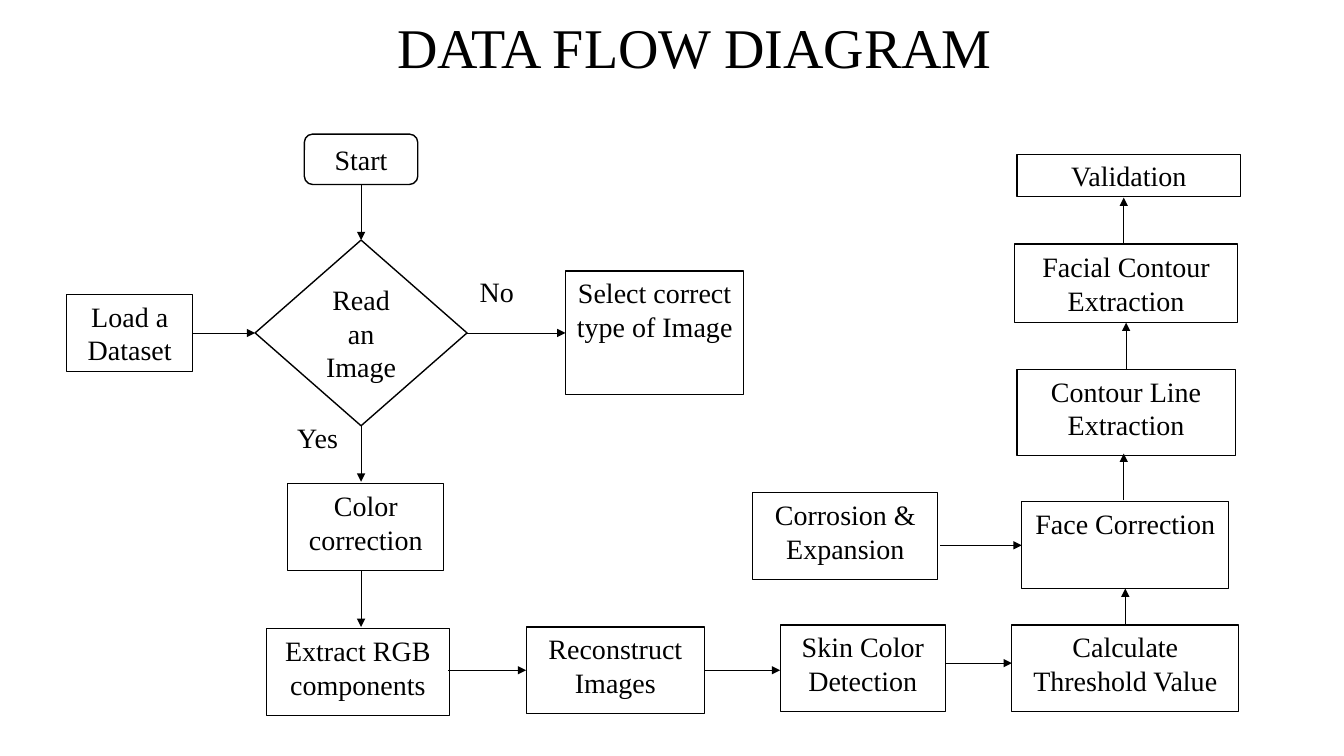
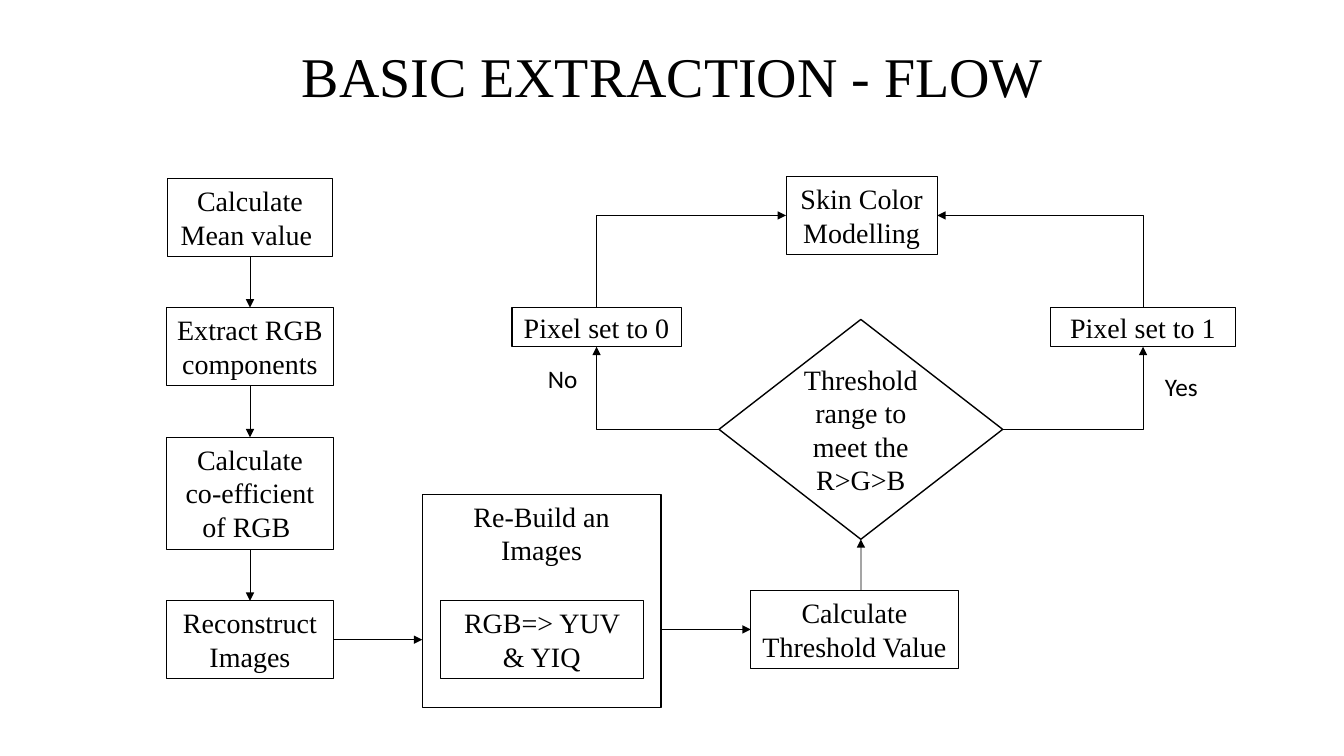
from dataclasses import dataclass
from enum import IntEnum

from lxml import etree
from pptx import Presentation
from pptx import util as u
from pptx.dml.color import RGBColor
from pptx.enum import shapes, text
from pptx.oxml.ns import qn
from pptx.util import Cm


@dataclass(frozen=True)
class Theme:
    ink: RGBColor = RGBColor(0, 0, 0)
    paper: RGBColor = RGBColor(255, 255, 255)
    serif: str = "Times New Roman"
    sans: str = "Calibri"
    title_size: int = 40
    box_size: int = 20
    small_size: int = 18
    filled_line: float = 1
    open_line: float = 0.75
    arrow_line: float = 0.5


THEME = Theme()
SHAPES = shapes.MSO_SHAPE
ANCHOR = text.MSO_ANCHOR
ALIGN = text.PP_ALIGN


class Side(IntEnum):
    """Connection sites of a rectangle or diamond."""
    TOP = 0
    LEFT = 1
    BOTTOM = 2
    RIGHT = 3


@dataclass(frozen=True)
class Area:
    """A rectangle in centimetres."""
    left: float
    top: float
    width: float
    height: float

    def lengths(self) -> tuple[u.Length, ...]:
        return Cm(self.left), Cm(self.top), Cm(self.width), Cm(self.height)

    def middle(self, side: Side) -> tuple[float, float]:
        x = {Side.LEFT: 0, Side.RIGHT: 1}.get(side, 0.5)
        y = {Side.TOP: 0, Side.BOTTOM: 1}.get(side, 0.5)
        return self.left + x * self.width, self.top + y * self.height


@dataclass(frozen=True)
class Box:
    caption: str
    area: Area
    kind: SHAPES = SHAPES.RECTANGLE
    filled: bool = False


@dataclass(frozen=True)
class Port:
    """The middle of one side of a named box."""
    box: str
    side: Side


Point = tuple[float, float]


@dataclass(frozen=True)
class Arrow:
    start: Port | Point
    end: Port | Point
    elbow: bool = False
    head: str = "tailEnd"


@dataclass(frozen=True)
class Label:
    caption: str
    area: Area
    font: str = THEME.serif
    size: int = THEME.box_size


@dataclass(frozen=True)
class Flow:
    title: str
    title_area: Area
    boxes: dict[str, Box]
    arrows: list[Arrow]
    labels: list[Label]


def write(frame, caption: str, size: int, font: str = THEME.serif,
          align: ALIGN = ALIGN.CENTER, anchor: ANCHOR = ANCHOR.TOP):
    """Fill a text frame with one formatted paragraph and return it."""
    frame.text = caption
    frame.vertical_anchor = anchor
    paragraph = frame.paragraphs[0]
    paragraph.alignment = align
    for run in paragraph.runs:
        run.font.size = u.Pt(size)
        run.font.name = font
        run.font.color.rgb = THEME.ink
    return paragraph


def draw_title(slide, caption: str, area: Area) -> None:
    title = slide.shapes.title
    title.left, title.top, title.width, title.height = area.lengths()
    paragraph = write(title.text_frame, caption, THEME.title_size, anchor=ANCHOR.MIDDLE)
    paragraph.line_spacing = 0.9


def draw_box(slide, box: Box):
    shape = slide.shapes.add_shape(box.kind, *box.area.lengths())
    shape.shadow.inherit = False
    shape.line.color.rgb = THEME.ink
    if box.filled:
        shape.fill.solid()
        shape.fill.fore_color.rgb = THEME.paper
        shape.line.width = u.Pt(THEME.filled_line)
    else:
        shape.fill.background()
        shape.line.width = u.Pt(THEME.open_line)
    shape.text_frame.word_wrap = True
    write(shape.text_frame, box.caption, THEME.box_size,
          anchor=ANCHOR.MIDDLE if box.filled else ANCHOR.TOP)
    return shape


def draw_label(slide, label: Label) -> None:
    frame = slide.shapes.add_textbox(*label.area.lengths()).text_frame
    frame.word_wrap = False
    write(frame, label.caption, label.size, label.font, ALIGN.LEFT)


def draw_arrow(slide, arrow: Arrow, flow: Flow, drawn: dict) -> None:
    def locate(stop: Port | Point) -> Point:
        return flow.boxes[stop.box].area.middle(stop.side) if isinstance(stop, Port) else stop

    kind = shapes.MSO_CONNECTOR.ELBOW if arrow.elbow else shapes.MSO_CONNECTOR.STRAIGHT
    ends = [Cm(value) for stop in (arrow.start, arrow.end) for value in locate(stop)]
    connector = slide.shapes.add_connector(kind, *ends)
    for stop, join in ((arrow.start, connector.begin_connect),
                       (arrow.end, connector.end_connect)):
        if isinstance(stop, Port):
            join(drawn[stop.box], int(stop.side))
    connector.line.color.rgb = THEME.ink
    connector.line.width = u.Pt(THEME.arrow_line)
    properties = connector._element.spPr
    if arrow.elbow:
        properties.find(qn("a:prstGeom")).set("prst", "bentConnector2")
    etree.SubElement(properties.find(qn("a:ln")), qn(f"a:{arrow.head}"), type="triangle")
    etree.SubElement(properties, qn("a:effectLst"))


def draw_flow(presentation, flow: Flow) -> None:
    slide = presentation.slides.add_slide(presentation.slide_layouts.get_by_name("Title Only"))
    draw_title(slide, flow.title, flow.title_area)
    drawn = {name: draw_box(slide, box) for name, box in flow.boxes.items()}
    for arrow in flow.arrows:
        draw_arrow(slide, arrow, flow, drawn)
    for label in flow.labels:
        draw_label(slide, label)


TALL = 2.18   # two-line boxes of the data flow
SHORT = 1.96  # two-line boxes of the extraction flow

DATA_FLOW = Flow(
    "DATA FLOW DIAGRAM",
    Area(2.9, 0.28, 29.21, 1.96),
    {
        "start": Box("Start", Area(7.67, 3.38, 2.86, 1.27), SHAPES.ROUNDED_RECTANGLE, True),
        "load": Box("Load a Dataset", Area(1.68, 7.41, 3.18, SHORT)),
        "read": Box("Read an Image", Area(6.43, 6.05, 5.34, 4.68), SHAPES.DIAMOND, True),
        "select": Box("Select correct type of Image", Area(14.25, 6.83, 4.5, 3.12)),
        "color": Box("Color correction", Area(7.25, 12.19, 3.94, TALL)),
        "extract": Box("Extract RGB components", Area(6.71, 15.85, 4.62, TALL)),
        "reconstruct": Box("Reconstruct Images", Area(13.26, 15.8, 4.5, TALL)),
        "skin": Box("Skin Color Detection", Area(19.66, 15.75, 4.17, TALL)),
        "threshold": Box("Calculate Threshold Value", Area(25.5, 15.75, 5.72, TALL)),
        "corrosion": Box("Corrosion & Expansion", Area(18.97, 12.42, 4.67, TALL)),
        "face": Box("Face Correction", Area(25.75, 12.65, 5.22, TALL)),
        "contour": Box("Contour Line Extraction", Area(25.63, 9.3, 5.5, TALL)),
        "facial": Box("Facial Contour Extraction", Area(25.57, 6.15, 5.62, 1.98), filled=True),
        "validation": Box("Validation", Area(25.63, 3.89, 5.64, 1.07), filled=True),
    },
    [
        Arrow(Port("start", Side.BOTTOM), Port("read", Side.TOP)),
        Arrow(Port("load", Side.RIGHT), Port("read", Side.LEFT)),
        Arrow(Port("read", Side.RIGHT), Port("select", Side.LEFT)),
        Arrow(Port("read", Side.BOTTOM), (9.1, 12.14)),
        Arrow((9.1, 14.4), (9.1, 15.8)),
        Arrow((11.3, 16.89), Port("reconstruct", Side.LEFT)),
        Arrow(Port("reconstruct", Side.RIGHT), (19.66, 16.89)),
        Arrow((23.83, 16.71), (25.5, 16.71)),
        Arrow(Port("threshold", Side.TOP), Port("face", Side.BOTTOM)),
        Arrow((23.7, 13.74), Port("face", Side.LEFT)),
        Arrow((28.32, 12.6), (28.32, 11.43)),
        Arrow(Port("contour", Side.TOP), Port("facial", Side.BOTTOM)),
        Arrow((28.32, 6.15), (28.32, 4.98)),
    ],
    [
        Label("Yes", Area(7.24, 10.46, 1.7, 1.22)),
        Label("No", Area(11.84, 6.78, 1.52, 1.22)),
    ],
)

EXTRACTION_FLOW = Flow(
    "BASIC EXTRACTION - FLOW",
    Area(2.34, 1.02, 29.21, 1.98),
    {
        "mean": Box("Calculate Mean value ", Area(4.23, 4.5, 4.14, SHORT)),
        "extract": Box("Extract RGB components", Area(4.19, 7.75, 4.22, SHORT)),
        "coefficient": Box("Calculate co-efficient of RGB ", Area(4.19, 11.02, 4.22, 2.82)),
        "reconstruct": Box("Reconstruct Images", Area(4.19, 15.14, 4.22, SHORT)),
        "rebuild": Box("Re-Build an Images", Area(10.64, 12.45, 6.02, 5.38)),
        "convert": Box("RGB=> YUV & YIQ", Area(11.1, 15.14, 5.11, SHORT)),
        "threshold": Box("Calculate Threshold Value", Area(18.92, 14.88, 5.23, SHORT)),
        "range": Box("Threshold range to meet the R>G>B",
                     Area(18.12, 8.05, 7.15, 5.54), SHAPES.DIAMOND, True),
        "zero": Box("Pixel set to 0", Area(12.9, 7.75, 4.27, 0.99), filled=True),
        "one": Box("Pixel set to 1", Area(26.47, 7.75, 4.67, 0.99), filled=True),
        "model": Box("Skin Color Modelling", Area(19.81, 4.45, 3.81, SHORT)),
    },
    [
        Arrow(Port("mean", Side.BOTTOM), Port("extract", Side.TOP)),
        Arrow(Port("extract", Side.BOTTOM), Port("coefficient", Side.TOP)),
        Arrow(Port("coefficient", Side.BOTTOM), Port("reconstruct", Side.TOP)),
        Arrow(Port("reconstruct", Side.RIGHT), (10.64, 16.12)),
        Arrow((16.66, 15.86), Port("threshold", Side.LEFT)),
        Arrow((21.7, 14.88), Port("range", Side.BOTTOM)),
        Arrow(Port("range", Side.LEFT), Port("zero", Side.BOTTOM), elbow=True),
        Arrow(Port("range", Side.RIGHT), Port("one", Side.BOTTOM), elbow=True),
        Arrow(Port("model", Side.LEFT), Port("zero", Side.TOP), elbow=True, head="headEnd"),
        Arrow(Port("model", Side.RIGHT), Port("one", Side.TOP), elbow=True, head="headEnd"),
    ],
    [
        Label("No", Area(13.56, 9.04, 1.27, 1.02), THEME.sans, THEME.small_size),
        Label("Yes", Area(29.11, 9.22, 1.35, 1.02), THEME.sans, THEME.small_size),
    ],
)


def main() -> None:
    presentation = Presentation()
    presentation.slide_width, presentation.slide_height = Cm(33.87), Cm(19.05)
    for flow in (DATA_FLOW, EXTRACTION_FLOW):
        draw_flow(presentation, flow)
    presentation.save("out.pptx")


if __name__ == "__main__":
    main()
